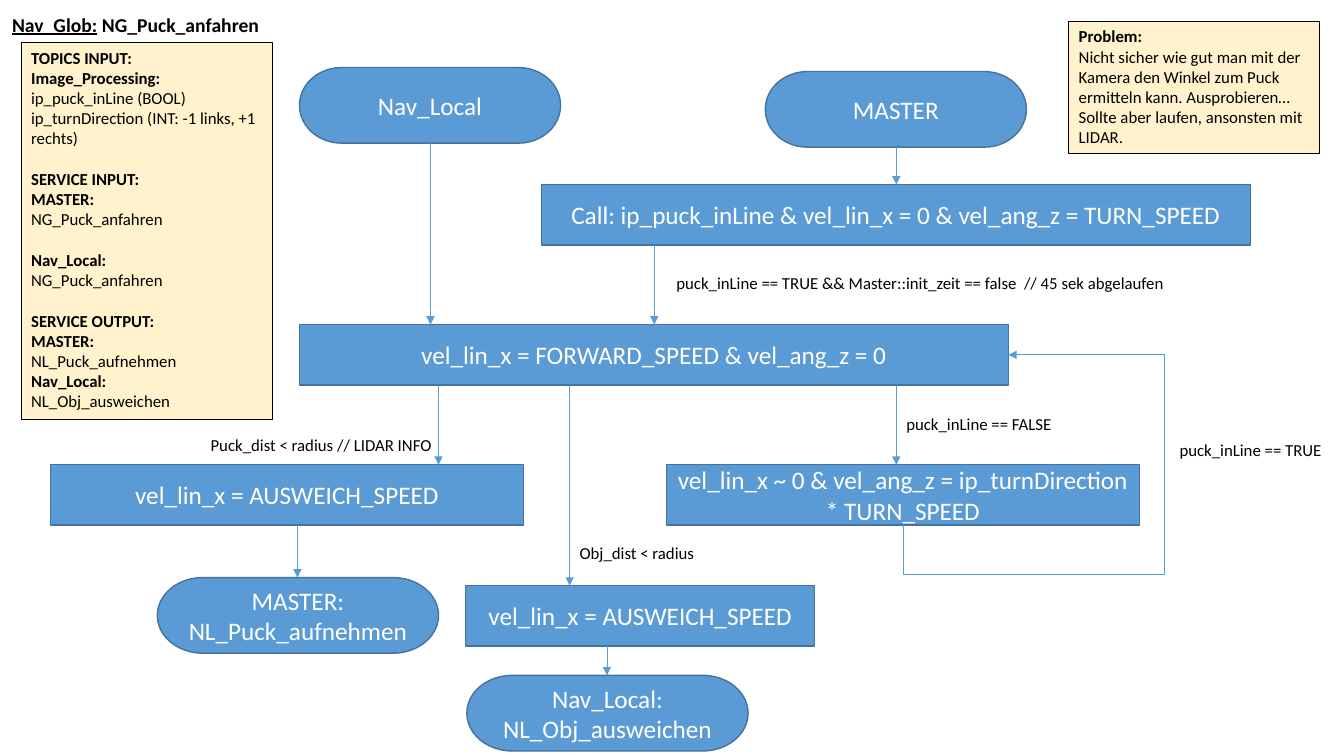
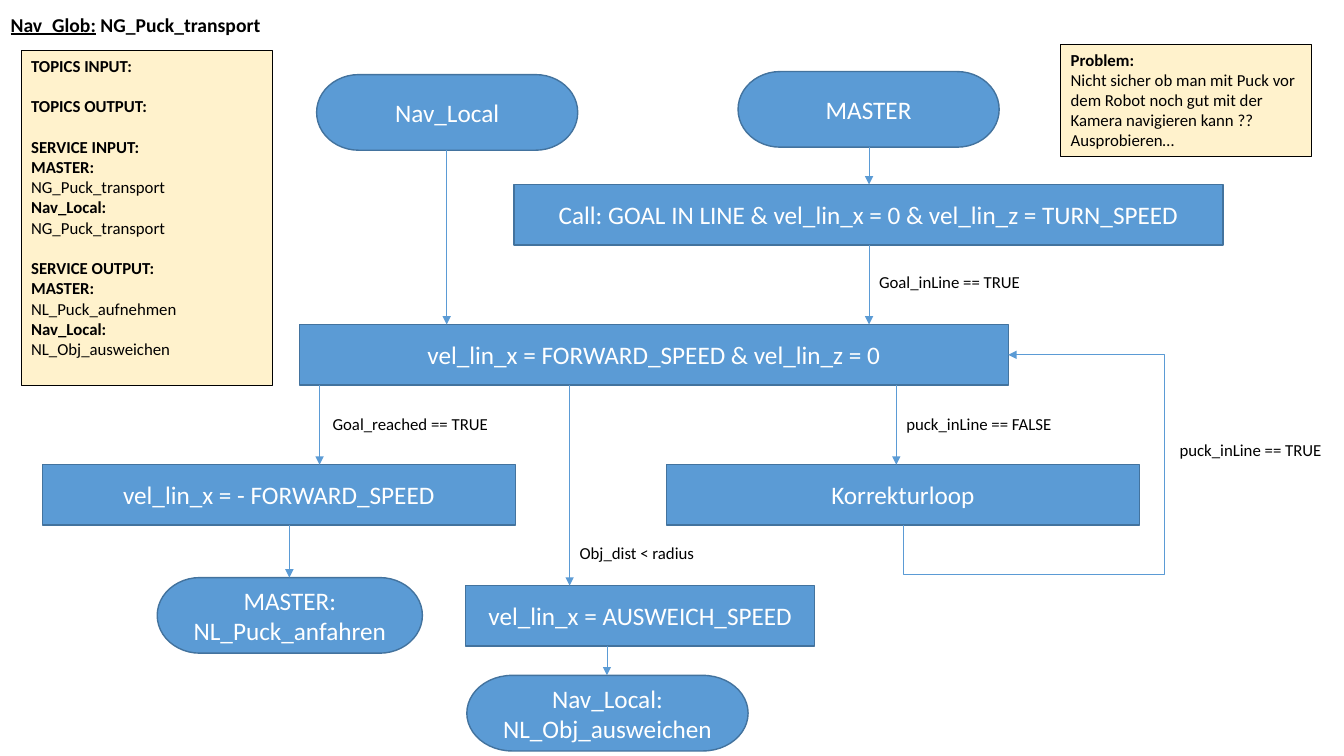
from dataclasses import dataclass

from lxml.etree import SubElement
from pptx import Presentation
from pptx.dml.color import RGBColor
from pptx.enum.shapes import MSO_CONNECTOR as Link, MSO_SHAPE as Shape
from pptx.enum.text import MSO_ANCHOR as Anchor, PP_ALIGN as Align
from pptx.oxml.ns import qn
from pptx.util import Inches, Pt


@dataclass(frozen=True)
class Theme:
    """Colours, type sizes and line widths shared by the slides."""
    font: str = "Calibri"
    ink: str = "000000"
    node: str = "5B9BD5"
    node_edge: str = "43739E"
    node_ink: str = "FFFFFF"
    note: str = "FFF2CC"
    title_size: float = 14
    node_size: float = 18
    text_size: float = 12
    group_gap: float = 14.65
    arrow_width: float = 0.5
    note_edge_width: float = 0.75
    node_edge_width: float = 1


THEME = Theme()
WIDTH, HEIGHT = 13.33, 7.5
CALL, DRIVE, BRANCH = (1.83 + 1.39 * row for row in range(3))
AVOID, END, LAST = 5.81, 5.73, 6.7
WIDE, MEDIUM, NARROW = 7.03, 4.69, 3.46
START_WIDTH, END_WIDTH, NOTE_WIDTH = 2.59, 2.79, 2.49
BOX_HEIGHT, PILL_HEIGHT, LABEL_HEIGHT = 0.6, 0.75, 0.3
LOOP_START, LOOP_BOTTOM, LOOP_RIGHT = 8.96, 5.7, 11.55

SHARED = {
    "boxes": {"avoid": (4.62, AVOID, NARROW, "vel_lin_x = AUSWEICH_SPEED")},
    "pills": {"last": (4.63, LAST, END_WIDTH, "Nav_Local: NL_Obj_ausweichen")},
    "arrows": [
        (8.89, "drive", "correct"),
        (5.65, "drive", "avoid"),
        (6.02, "avoid", "last"),
    ],
    "labels": [
        (8.89, 4.06, 1.72, "puck_inLine == FALSE"),
        (11.6, 4.31, 1.72, "puck_inLine == TRUE"),
        (5.65, 5.34, 3.11, "Obj_dist < radius"),
    ],
}

SLIDES = [
    {
        "task": "NG_Puck_anfahren",
        "boxes": {
            "call": (5.37, CALL, WIDE, "Call: ip_puck_inLine & vel_lin_x = 0 & vel_ang_z = TURN_SPEED"),
            "drive": (2.97, DRIVE, WIDE, "vel_lin_x = FORWARD_SPEED & vel_ang_z = 0"),
            "correct": (6.61, BRANCH, MEDIUM, "vel_lin_x ~ 0 & vel_ang_z = ip_turnDirection * TURN_SPEED"),
            "reached": (0.5, BRANCH, MEDIUM, "vel_lin_x = AUSWEICH_SPEED"),
        },
        "pills": {
            "local": (2.97, 0.67, START_WIDTH, "Nav_Local"),
            "master": (7.59, 0.71, START_WIDTH, "MASTER"),
            "end": (1.56, END, END_WIDTH, "MASTER: NL_Puck_aufnehmen"),
        },
        "arrows": [
            (4.27, "local", "drive"),
            (8.89, "master", "call"),
            (6.49, "call", "drive"),
            (4.35, "drive", "reached"),
            (2.95, "reached", "end"),
        ],
        "labels": [
            (6.61, 2.66, 7.1, "puck_inLine == TRUE && Master::init_zeit == false  // 45 sek abgelaufen"),
            (1.99, 4.26, 3.11, "Puck_dist < radius // LIDAR INFO"),
        ],
        "notes": [
            (0.21, 0.42, 3.74, [
                ["TOPICS INPUT:", "Image_Processing:", "ip_puck_inLine (BOOL)",
                 "ip_turnDirection (INT: -1 links, +1 rechts)"],
                ["SERVICE INPUT:", "MASTER:", "NG_Puck_anfahren"],
                ["Nav_Local:", "NG_Puck_anfahren"],
                ["SERVICE OUTPUT:", "MASTER:", "NL_Puck_aufnehmen", "Nav_Local:", "NL_Obj_ausweichen"],
            ]),
            (10.6, 0.21, 1.31, [
                ["Problem:",
                 "Nicht sicher wie gut man mit der Kamera den Winkel zum Puck ermitteln kann. Ausprobieren…",
                 "Sollte aber laufen, ansonsten mit LIDAR."],
            ]),
        ],
    },
    {
        "task": "NG_Puck_transport",
        "boxes": {
            "call": (5.1, CALL, WIDE, "Call: GOAL IN LINE & vel_lin_x = 0 & vel_lin_z = TURN_SPEED"),
            "drive": (2.97, DRIVE, WIDE, "vel_lin_x = FORWARD_SPEED & vel_lin_z = 0"),
            "correct": (6.61, BRANCH, MEDIUM, "Korrekturloop"),
            "reached": (0.42, BRANCH, MEDIUM, "vel_lin_x = - FORWARD_SPEED"),
        },
        "pills": {
            "local": (3.14, 0.74, START_WIDTH, "Nav_Local"),
            "master": (7.32, 0.71, START_WIDTH, "MASTER"),
            "end": (1.56, END, 2.63, "MASTER: NL_Puck_anfahren"),
        },
        "arrows": [
            (4.43, "local", "drive"),
            (8.62, "master", "call"),
            (8.62, "call", "drive"),
            (3.17, "drive", "reached"),
            (2.87, "reached", "end"),
        ],
        "labels": [
            (8.62, 2.65, 1.9, "Goal_inLine == TRUE"),
            (3.2, 4.06, 3.11, "Goal_reached == TRUE"),
        ],
        "notes": [
            (0.21, 0.5, 3.33, [
                ["TOPICS INPUT:"],
                ["TOPICS OUTPUT:"],
                ["SERVICE INPUT:", "MASTER:", "NG_Puck_transport", "Nav_Local:", "NG_Puck_transport"],
                ["SERVICE OUTPUT:", "MASTER:", "NL_Puck_aufnehmen", "Nav_Local:", "NL_Obj_ausweichen"],
            ]),
            (10.52, 0.44, 1.11, [
                ["Problem:",
                 "Nicht sicher ob man mit Puck vor dem Robot noch gut mit der Kamera navigieren kann ?? Ausprobieren…"],
            ]),
        ],
    },
]


def set_font(paragraph, size, colour, bold=False):
    font = paragraph.font
    font.name, font.size, font.bold = THEME.font, Pt(size), bold
    font.color.rgb = RGBColor.from_string(colour)


def add_text(slide, left, top, width, height):
    frame = slide.shapes.add_textbox(*map(Inches, (left, top, width, height))).text_frame
    frame.word_wrap = True
    return frame


def add_title(slide, task):
    frame = add_text(slide, 0, 0, 2.69, 0.41)
    frame.vertical_anchor = Anchor.BOTTOM
    heading = frame.paragraphs[0]
    heading.alignment, heading.line_spacing = Align.CENTER, 0.9
    set_font(heading, THEME.title_size, THEME.ink, bold=True)
    for text, underlined in (("Nav_Glob:", True), (f" {task}", False)):
        run = heading.add_run()
        run.text, run.font.underline = text, underlined


def add_label(slide, left, top, width, text):
    label = add_text(slide, left, top, width, LABEL_HEIGHT).paragraphs[0]
    label.text = text
    set_font(label, THEME.text_size, THEME.ink)


def add_panel(slide, preset, place, fill, edge, edge_width):
    panel = slide.shapes.add_shape(preset, *map(Inches, place))
    panel.shadow.inherit = False
    panel.fill.solid()
    panel.fill.fore_color.rgb = RGBColor.from_string(fill)
    panel.line.color.rgb = RGBColor.from_string(edge)
    panel.line.width = Pt(edge_width)
    panel.text_frame.word_wrap = True
    return panel.text_frame


def add_node(slide, preset, left, top, width, height, text):
    frame = add_panel(slide, preset, (left, top, width, height),
                      THEME.node, THEME.node_edge, THEME.node_edge_width)
    frame.vertical_anchor = Anchor.MIDDLE
    caption = frame.paragraphs[0]
    caption.text, caption.alignment = text, Align.CENTER
    set_font(caption, THEME.node_size, THEME.node_ink)


def add_note(slide, left, top, height, groups):
    frame = add_panel(slide, Shape.RECTANGLE, (left, top, NOTE_WIDTH, height),
                      THEME.note, THEME.ink, THEME.note_edge_width)
    frame.vertical_anchor = Anchor.TOP
    entries = [(text, g > 0 and i == 0) for g, group in enumerate(groups) for i, text in enumerate(group)]
    for index, (text, opens_group) in enumerate(entries):
        entry = frame.add_paragraph() if index else frame.paragraphs[0]
        entry.text, entry.alignment = text, Align.LEFT
        entry.space_before = Pt(THEME.group_gap if opens_group else 0)
        set_font(entry, THEME.text_size, THEME.ink, bold=text.endswith(":"))


def add_arrow(slide, kind, start, end):
    arrow = slide.shapes.add_connector(kind, *map(Inches, (*start, *end)))
    arrow.line.color.rgb = RGBColor.from_string(THEME.node)
    arrow.line.width = Pt(THEME.arrow_width)
    properties = arrow.element.spPr
    SubElement(properties.find(qn("a:ln")), qn("a:tailEnd"), type="triangle")
    SubElement(properties, qn("a:effectLst"))
    return properties


def add_loop(slide, drive):
    end_x, end_y = drive[0] + drive[2], drive[1] + BOX_HEIGHT / 2
    start_y = BRANCH + BOX_HEIGHT
    run, rise = end_x - LOOP_START, start_y - end_y
    centre_x, centre_y = LOOP_START + run / 2, end_y + rise / 2
    properties = add_arrow(slide, Link.ELBOW, (centre_x + rise / 2, centre_y + run / 2),
                           (centre_x - rise / 2, centre_y - run / 2))
    properties.find(qn("a:xfrm")).set("rot", "5400000")
    outline = properties.find(qn("a:prstGeom"))
    outline.set("prst", "bentConnector4")
    bends = outline.find(qn("a:avLst"))
    if bends is None:
        bends = SubElement(outline, qn("a:avLst"))
    shares = (start_y - LOOP_BOTTOM) / rise, (LOOP_RIGHT - LOOP_START) / run
    for index, share in enumerate(shares, 1):
        SubElement(bends, qn("a:gd"), name=f"adj{index}", fmla=f"val {round(share * 100000)}")


def add_flow(slide, content):
    boxes = content["boxes"] | SHARED["boxes"]
    pills = content["pills"] | SHARED["pills"]
    tops, bottoms = {}, {}
    for preset, height, nodes in ((Shape.FLOWCHART_PROCESS, BOX_HEIGHT, boxes),
                                  (Shape.FLOWCHART_TERMINATOR, PILL_HEIGHT, pills)):
        for key, (left, top, width, text) in nodes.items():
            add_node(slide, preset, left, top, width, height, text)
            tops[key], bottoms[key] = top, top + height
    for x, source, target in content["arrows"] + SHARED["arrows"]:
        add_arrow(slide, Link.STRAIGHT, (x, bottoms[source]), (x, tops[target]))
    add_loop(slide, boxes["drive"])


def main():
    """Build the two navigation flow charts."""
    deck = Presentation()
    deck.slide_width, deck.slide_height = Inches(WIDTH), Inches(HEIGHT)
    for content in SLIDES:
        slide = deck.slides.add_slide(deck.slide_layouts[6])
        add_title(slide, content["task"])
        add_flow(slide, content)
        for label in content["labels"] + SHARED["labels"]:
            add_label(slide, *label)
        for note in content["notes"]:
            add_note(slide, *note)
    deck.save("out.pptx")


if __name__ == "__main__":
    main()
